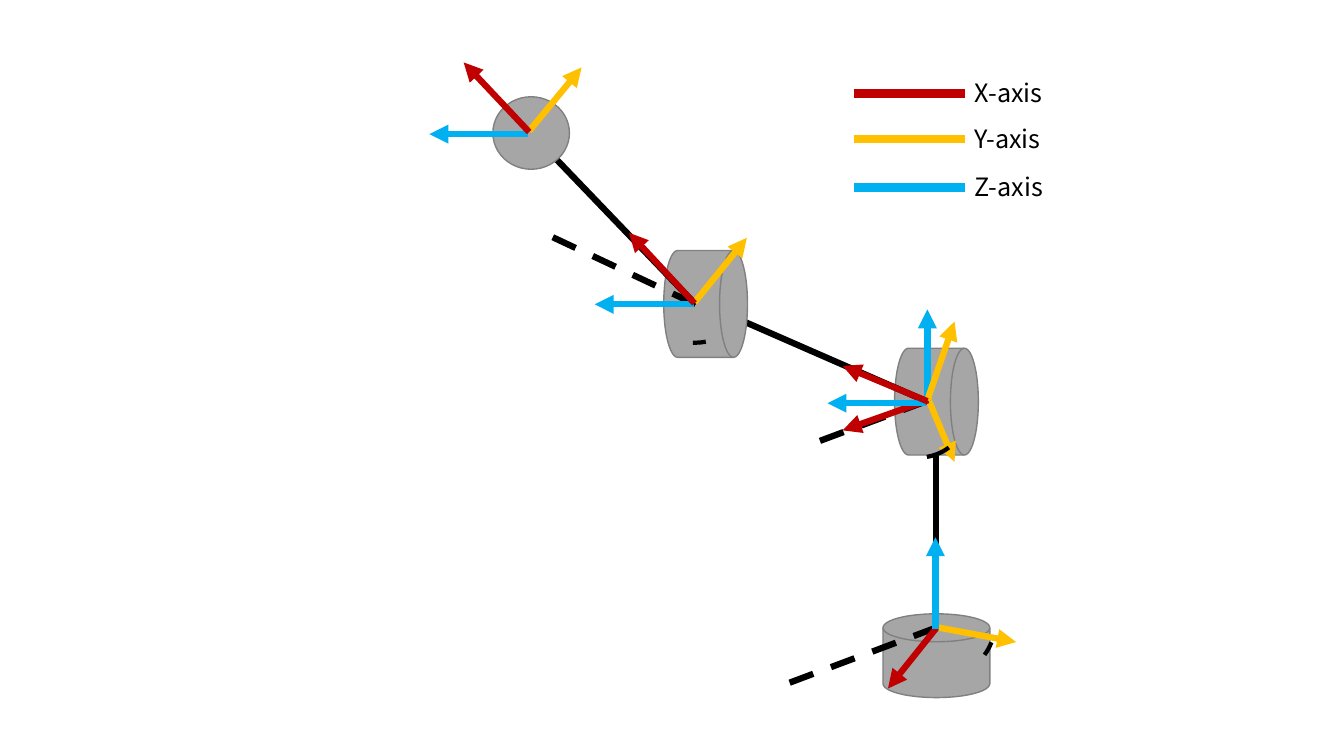
from lxml import etree
from pptx import Presentation
from pptx.dml.color import RGBColor
from pptx.enum import dml, shapes, text
from pptx.oxml import ns
from pptx.util import Pt

RED, YELLOW, BLUE, BLACK = "C00000", "FFC000", "00B0F0", "000000"
AXIS_COLORS = {"x": RED, "y": YELLOW, "z": BLUE}
FONT = "Noto Sans CJK KR"
ARC_SIZE = 73.4
CYLINDER = (shapes.MSO_SHAPE.FLOWCHART_MAGNETIC_DISK, 76.3, 59.8)
BALL = (shapes.MSO_SHAPE.OVAL, 54.7, 51.8)

BASE = dict(
    origin=(668.5, 448.5), body=CYLINDER, body_center=(0.4, 19.9),
    lines=[("link", 0, 0.5, 0, -157.5), ("dash", 1, -0.5, -115.5, 43.3),
           ("y", 0.4, -0.5, 57.3, 10.1), ("x", 0.4, 0, -34.2, 43.3),
           ("z", -0.3, 0.8, -0.3, -64.7)],
    arc=(5.4, -2.8, 217.1, 163.8, 179.75))
SHOULDER = dict(
    origin=(662.4, 286.2), body=CYLINDER, body_center=(6.5, 0.7), turn=90,
    lines=[("dash", -0.7, 0.4, -79.9, 29.9), ("y", 0.7, -1, 19.4, 43.6),
           ("x", 0.7, -0.4, -60.5, 21.2), ("z", 0, 0.4, 0, -65.2),
           ("link", -0.7, 0.4, -159.1, -68.8), ("z", -0.7, 1.8, -71.3, 1.8),
           ("y", 0, -0.4, 19.4, -56.5), ("x", 0, 0.4, -60.5, -24.8)],
    arc=(-6.5, 4, 249.6, 163.8, 190.71))
ELBOW = dict(
    origin=(496.1, 216.7), body=CYLINDER, body_center=(7.9, 0.4), turn=90,
    lines=[("link", 0.7, 0.7, -116.7, -121.7), ("dash", 0.7, 0.7, -108, -50.4),
           ("z", -0.7, 0.7, -71.3, 0.7), ("y", 0, -0.7, 37.4, -46.8),
           ("x", 0, 0, -46.8, -50.4)],
    arc=(0.7, -8.6, 270, 168.43, 182.84))
TIP = dict(
    origin=(378, 94.3), body=BALL, body_center=(1.4, 0.7),
    lines=[("z", -0.7, 1.5, -71.3, 1.5), ("y", 0, -0.7, 37.4, -46.1),
           ("x", 0, 0, -46.8, -49.7)])


def rgb(color):
    """Turn a hex string into a colour."""
    return RGBColor.from_string(color)


def add_line(parts, start, end, color, width=4.5, dashed=False, arrow=False):
    """Draw a straight line, optionally dashed or with an arrowhead."""
    line = parts.add_connector(shapes.MSO_CONNECTOR.STRAIGHT,
                               *(Pt(value) for value in (*start, *end)))
    line.line.color.rgb = rgb(color)
    line.line.width = Pt(width)
    if dashed:
        line.line.dash_style = dml.MSO_LINE.DASH
    if arrow:
        etree.SubElement(line.line._get_or_add_ln(), ns.qn("a:tailEnd"), type="triangle")
    etree.SubElement(line._element.spPr, ns.qn("a:effectLst"))


def add_solid(parts, kind, box, fill, outline, width=1, turn=0):
    """Draw a preset shape, unfilled when fill is None."""
    solid = parts.add_shape(kind, *(Pt(value) for value in box))
    solid.shadow.inherit = False
    solid.rotation = turn
    if fill:
        solid.fill.solid()
        solid.fill.fore_color.rgb = rgb(fill)
    else:
        solid.fill.background()
    solid.line.color.rgb = rgb(outline)
    solid.line.width = Pt(width)
    return solid


def centered(x, y, width, height):
    """Return the box of a given size around a centre."""
    return x - width / 2, y - height / 2, width, height


def draw_joint(parts, origin, body, body_center, lines, turn=0):
    """Draw a joint body with the links and axes around its origin."""
    x, y = origin
    kind, width, height = body
    dx, dy = body_center
    add_solid(parts, kind, centered(x + dx, y + dy, width, height),
              "A6A6A6", "808080", turn=turn)
    for role, x1, y1, x2, y2 in lines:
        add_line(parts, (x + x1, y + y1), (x + x2, y + y2),
                 AXIS_COLORS.get(role, BLACK),
                 dashed=role == "dash", arrow=role in AXIS_COLORS)


def draw_angle(parts, origin, arc):
    """Draw the arc that marks the rotation of a joint."""
    dx, dy, turn, *angles = arc
    box = centered(origin[0] + dx, origin[1] + dy, ARC_SIZE, ARC_SIZE)
    angle = add_solid(parts, shapes.MSO_SHAPE.ARC, box, None, BLACK, 3, turn)
    for index, degrees in enumerate(angles):
        angle.adjustments[index] = degrees * 0.6


def draw_legend(parts, left, top):
    """Draw the key to the three axis colours."""
    for axis, offset in (("x", 0), ("y", 32.6), ("z", 67.2)):
        y = top + offset
        add_line(parts, (left, y), (left + 79.4, y), AXIS_COLORS[axis], 6)
        label = parts.add_textbox(Pt(left + 79.4), Pt(y - 14.8), Pt(87), Pt(29))
        frame = label.text_frame
        frame.word_wrap = True
        frame.auto_size = text.MSO_AUTO_SIZE.SHAPE_TO_FIT_TEXT
        run = frame.paragraphs[0].add_run()
        run.text = f"{axis.upper()}-axis"
        run.font.name = FONT
        run.font.size = Pt(18)
        run.font.color.rgb = rgb(BLACK)
        etree.SubElement(run.font._element, ns.qn("a:ea"), typeface=FONT)


def draw_arm(parts, box):
    """Draw the robot arm and its legend on a white panel."""
    left, top, _, _ = box
    add_solid(parts, shapes.MSO_SHAPE.RECTANGLE, box, "FFFFFF", "FFFFFF")
    angles = []
    for joint in (BASE, SHOULDER, ELBOW, TIP):
        details = dict(joint)
        arc = details.pop("arc", None)
        draw_joint(parts, **details)
        if arc:
            angles.append((joint["origin"], arc))
    draw_legend(parts, left + 317.5, top + 30)
    for origin, arc in angles:
        draw_angle(parts, origin, arc)


def main():
    """Build and save the slide."""
    deck = Presentation()
    deck.slide_width, deck.slide_height = Pt(960), Pt(540)
    slide = deck.slides.add_slide(deck.slide_layouts[6])
    draw_arm(slide.shapes.add_group_shape().shapes, (292.3, 36.7, 484.6, 487.4))
    deck.save("out.pptx")


if __name__ == "__main__":
    main()
